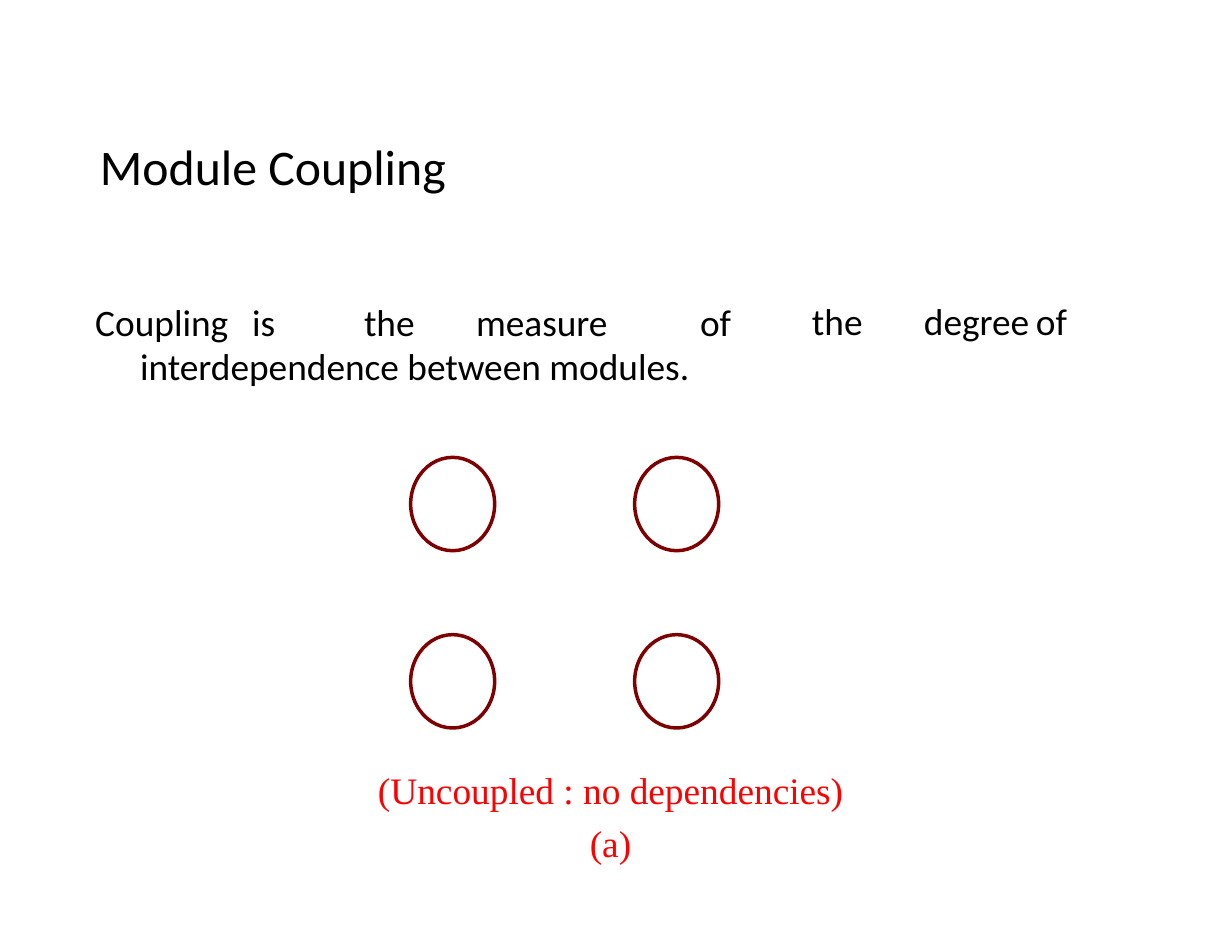
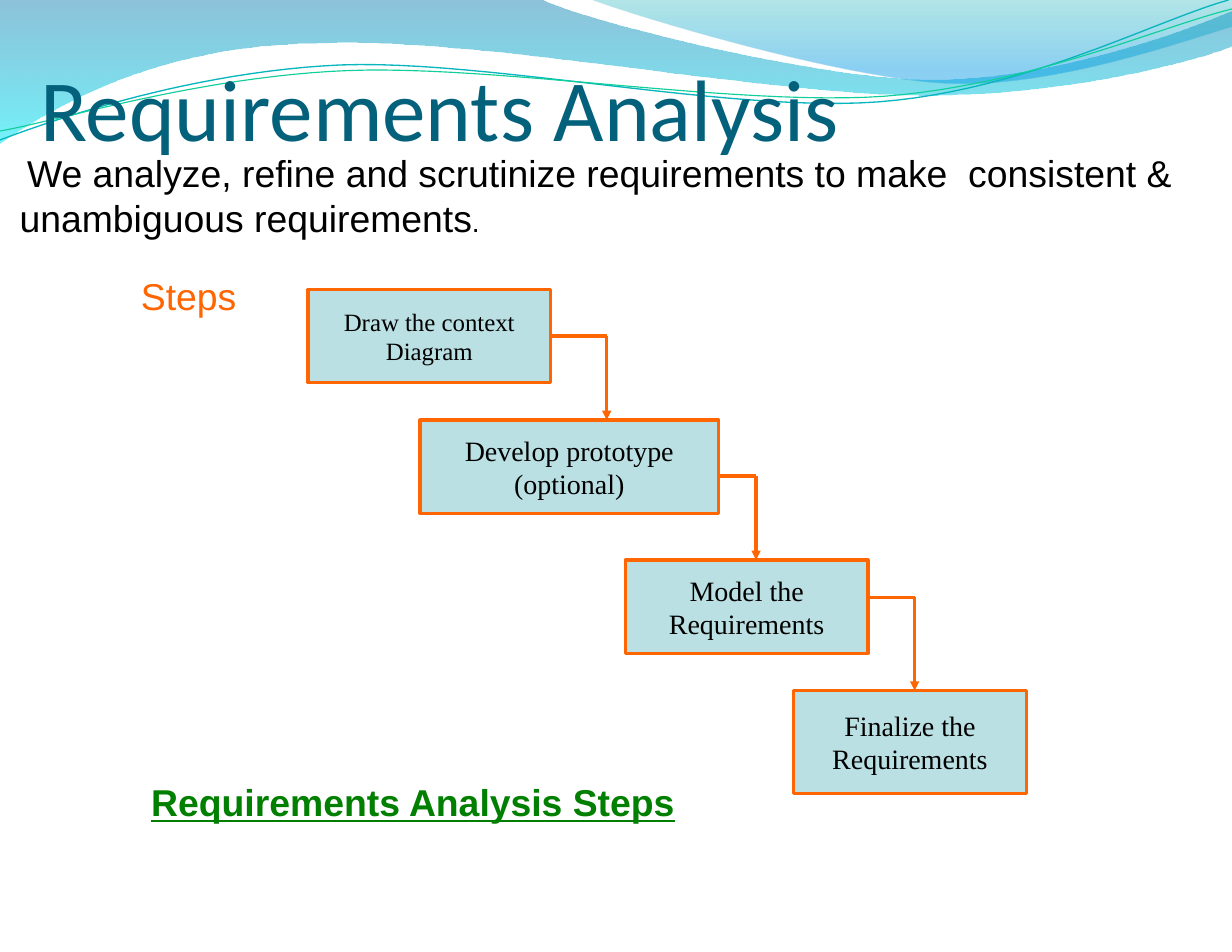
from dataclasses import dataclass

from lxml import etree
from pptx import Presentation
from pptx import util as u
from pptx.dml.color import RGBColor
from pptx.enum import shapes, text
from pptx.oxml.ns import qn

CELL = u.Inches(1) // 12  # side of one grid cell
COLS, ROWS = 132, 102
WAVE_UNIT = 12  # cells per unit of the wave coordinates

BLACK = RGBColor(0x00, 0x00, 0x00)
RED = RGBColor(0xFF, 0x00, 0x00)
MAROON = RGBColor(0x7F, 0x00, 0x00)
ORANGE = RGBColor(0xFF, 0x65, 0x00)
GREEN = RGBColor(0x00, 0x7F, 0x00)
TEAL = RGBColor(0x04, 0x61, 0x7B)
PALE_TEAL = RGBColor(0xBA, 0xE0, 0xE3)
BAND_BLUE = RGBColor(0x00, 0x79, 0xAD)
BAND_CYAN = RGBColor(0x00, 0xE9, 0xF7)
CREST_TEAL = RGBColor(0x00, 0xAB, 0xB4)
CREST_BLUE = RGBColor(0x00, 0x99, 0xE4)
CURVE_TEAL = RGBColor(0x09, 0xB6, 0xBE)
CURVE_GREEN = RGBColor(0x10, 0xCF, 0x9B)

SANS, ARIAL, SERIF = "Calibri", "Arial", "Times New Roman"

# Filled waves: outline, then (position, colour, opacity in percent) per stop.
# A pair is a straight segment, six numbers are a cubic curve.
WAVE_BANDS = [
    ([(0, 0), (4.84, 0), (5.23, 0.19, 7.3, 0.71, 8.34, 0.71),
      (9.38, 0.71, 10.54, 0.29, 11, 0.1), (11, 0.41),
      (10.82, 0.5, 9.57, 0.86, 8.2, 0.85), (6.84, 0.85, 4.2, 0.32, 2.83, 0.39),
      (1.42, 0.4, 0.5, 0.94, 0, 1.28)],
     [(0, BAND_BLUE, 45), (1, BAND_CYAN, 55)]),
    ([(5.27, 0), (5.6, 0.13, 7.5, 0.7, 8.46, 0.74),
      (9.41, 0.78, 10.58, 0.36, 11, 0.24), (11, 0)],
     [(0, CREST_TEAL, 30), (0.8, CREST_BLUE, 45)]),
]
WAVE_CURVES = [
    ([(0, 1.25), (0.53, 1.05, 1.73, 0.64, 3.04, 0.58),
      (4.35, 0.53, 6.52, 1.01, 7.84, 0.91),
      (9.16, 0.81, 10.32, 0.18, 10.97, 0)], CURVE_TEAL, 0.85),
    ([(0, 1.17), (0.52, 1.08, 1.8, 0.68, 3.11, 0.63),
      (4.43, 0.58, 6.57, 0.95, 7.89, 0.86),
      (9.2, 0.76, 10.35, 0.24, 11, 0.08)], CURVE_GREEN, 0.75),
]

# label, size, box (col, row, cols, rows), row of the exit, column of the bend
STEPS = [
    ("Draw the context Diagram", 16, (0, 0, 26, 10), 5, 32),
    ("Develop prototype (optional)", 18, (12, 14, 32, 10), 20, 48),
    ("Model the Requirements", 18, (34, 29, 26, 10), 33, 65),
    ("Finalize the Requirements", 18, (52, 43, 25, 11), None, None),
]


@dataclass
class Box:
    col: float
    row: float
    cols: float
    rows: float

    def inner(self, col, row, cols, rows):
        return Box(self.col + col, self.row + row, cols, rows)

    def point(self, col, row):
        return cells(self.col + col), cells(self.row + row)

    def emu(self):
        return [cells(n) for n in (self.col, self.row, self.cols, self.rows)]


PAGE = Box(0, 0, COLS, ROWS)


def cells(count):
    return u.Emu(round(count * CELL))


# Shared elements

def fill_text(frame, runs, font, color, margin=0, hang=0, line_spacing=None,
              align=text.PP_ALIGN.LEFT, anchor=text.MSO_ANCHOR.TOP, **style):
    """Write one paragraph of (words, size) runs; margins are in cells."""
    settings = {"word_wrap": True, "vertical_anchor": anchor,
                "margin_top": 0, "margin_bottom": 0}
    for name, value in settings.items():
        setattr(frame, name, value)
    paragraph = frame.paragraphs[0]
    paragraph.alignment = align
    paragraph.line_spacing = line_spacing
    for name, value in {"marL": cells(margin), "indent": cells(hang),
                        "defTabSz": u.Inches(1)}.items():
        paragraph._p.get_or_add_pPr().set(name, str(value))
    for words, size in runs:
        run = paragraph.add_run()
        run.text = words
        run.font.color.rgb = color
        for name, value in {"name": font, "size": u.Pt(size), **style}.items():
            setattr(run.font, name, value)


def add_text(slide, box, runs, font, color, **layout):
    frame = slide.shapes.add_textbox(*box.emu()).text_frame
    frame.margin_left = frame.margin_right = 0
    fill_text(frame, runs, font, color, **layout)


def add_outlined(slide, kind, box, line_color, width, fill=None):
    shape = slide.shapes.add_shape(kind, *box.emu())
    shape.shadow.inherit = False
    shape.line.color.rgb = line_color
    shape.line.width = u.Pt(width)
    if fill is None:
        shape.fill.background()
    else:
        shape.fill.solid()
        shape.fill.fore_color.rgb = fill
    return shape


def add_line(slide, start, end, arrow=False):
    line = slide.shapes.add_connector(shapes.MSO_CONNECTOR.STRAIGHT, *start, *end)
    line.line.color.rgb = ORANGE
    line.line.width = u.Pt(2)
    if arrow:
        etree.SubElement(line.get_or_add_ln(), qn("a:tailEnd"), type="triangle")
    etree.SubElement(line._element.spPr, qn("a:effectLst"))
    return line


# Wave header

def trace(segments, steps=24):
    """Turn straight and cubic segments into a list of points."""
    points = [segments[0]]
    for segment in segments[1:]:
        if len(segment) == 2:
            points.append(segment)
            continue
        knots = [points[-1], segment[:2], segment[2:4], segment[4:]]
        for step in range(1, steps + 1):
            t = step / steps
            weights = ((1 - t) ** 3, 3 * t * (1 - t) ** 2, 3 * t * t * (1 - t), t ** 3)
            points.append(tuple(sum(w * k[axis] for w, k in zip(weights, knots))
                                for axis in (0, 1)))
    return points


def add_wave(slide, box, segments, close):
    points = [box.point(x * WAVE_UNIT, y * WAVE_UNIT) for x, y in trace(segments)]
    builder = slide.shapes.build_freeform(*points[0])
    builder.add_line_segments(points[1:], close=close)
    wave = builder.convert_to_shape()
    wave.shadow.inherit = False
    return wave


def draw_waves(slide, box):
    for outline, stops in WAVE_BANDS:
        band = add_wave(slide, box, outline, True)
        band.line.fill.background()
        band.fill.gradient()
        band.fill.gradient_angle = 270
        for stop, (position, color, _) in zip(band.fill.gradient_stops, stops):
            stop.position = position
            stop.color.rgb = color
        tints = band._element.spPr.iter(qn("a:srgbClr"))
        for tint, (_, _, opacity) in zip(list(tints), stops):
            etree.SubElement(tint, qn("a:alpha"), val=str(opacity * 1000))
    for segments, color, width in WAVE_CURVES:
        curve = add_wave(slide, box, segments, False)
        curve.fill.background()
        curve.line.color.rgb = color
        curve.line.width = u.Pt(width)


# Module coupling

def draw_definition(slide, box):
    halves = [
        (box.inner(0, 0.1, 75.2, 9.7), 4.8, -4.8,
         "Coupling\tis\tthe\tmeasure\tof interdependence between modules."),
        (box.inner(76.7, 0, 35.3, 4.8), 0.1, 0, "the\tdegree\tof"),
    ]
    for half, margin, hang, words in halves:
        add_text(slide, half, [(words, 24)], SANS, BLACK, margin=margin, hang=hang)


def draw_modules(slide, box):
    for row in (0, 19):
        for col in (0, 24):
            add_outlined(slide, shapes.MSO_SHAPE.OVAL, box.inner(col, row, 9, 10),
                         MAROON, 2.25)


def coupling_slide(slide):
    add_text(slide, PAGE.inner(10.7, 14.5, 60, 6.5), [("Module Coupling", 32)],
             SANS, BLACK, margin=4.8, hang=-4.8)
    draw_definition(slide, PAGE.inner(10.2, 31.9, 112, 10))
    draw_modules(slide, PAGE.inner(44, 49, 33, 29))
    add_text(slide, PAGE.inner(40.4, 81.2, 50.2, 10.1),
             [("(Uncoupled : no dependencies) (a)", 24)], SERIF, RED,
             margin=22.8, hang=-22.7, line_spacing=1.2)


# Requirements analysis

def draw_steps(slide, box):
    boxes = []
    for label, size, place, _, _ in STEPS:
        step = add_outlined(slide, shapes.MSO_SHAPE.RECTANGLE, box.inner(*place),
                            ORANGE, 2, PALE_TEAL)
        step.text_frame.margin_left = step.text_frame.margin_right = cells(2.4)
        fill_text(step.text_frame, [(label, size)], SERIF, BLACK,
                  align=text.PP_ALIGN.CENTER, anchor=text.MSO_ANCHOR.MIDDLE)
        boxes.append(step)

    # Each step leaves to the right, then drops onto the next one
    for step, current, following in zip(boxes, STEPS, STEPS[1:]):
        _, _, (col, row, cols, rows), exit_row, bend = current
        corner = box.point(bend, exit_row)
        out = add_line(slide, box.point(col + cols, exit_row), corner)
        if exit_row == row + rows / 2:
            out.begin_connect(step, 3)
        add_line(slide, corner, box.point(bend, following[2][1]), arrow=True)


def analysis_slide(slide):
    draw_waves(slide, PAGE)
    add_text(slide, PAGE.inner(2, 16.1, 130, 9.8),
             [("We analyze, refine and scrutinize requirements to make  consistent & "
               "unambiguous requirements", 24), (".", 18)],
             ARIAL, BLACK, margin=0.1, hang=0.8)
    add_text(slide, PAGE.inner(15, 29.3, 12, 5), [("Steps", 24)], ARIAL, ORANGE,
             margin=0.1)
    add_text(slide, PAGE.inner(2.6, 0, 118.8, 17), [("Requirements Analysis", 56)],
             SANS, TEAL, margin=1.7, anchor=text.MSO_ANCHOR.BOTTOM)
    draw_steps(slide, PAGE.inner(33, 31, 77, 54))
    add_text(slide, PAGE.inner(16.1, 83.5, 60, 5), [("Requirements Analysis Steps", 24)],
             ARIAL, GREEN, margin=0.1, bold=True, underline=True)


def main():
    deck = Presentation()
    deck.slide_width, deck.slide_height = cells(COLS), cells(ROWS)
    for build in (coupling_slide, analysis_slide):
        build(deck.slides.add_slide(deck.slide_layouts[6]))
    deck.save("out.pptx")


if __name__ == "__main__":
    main()
